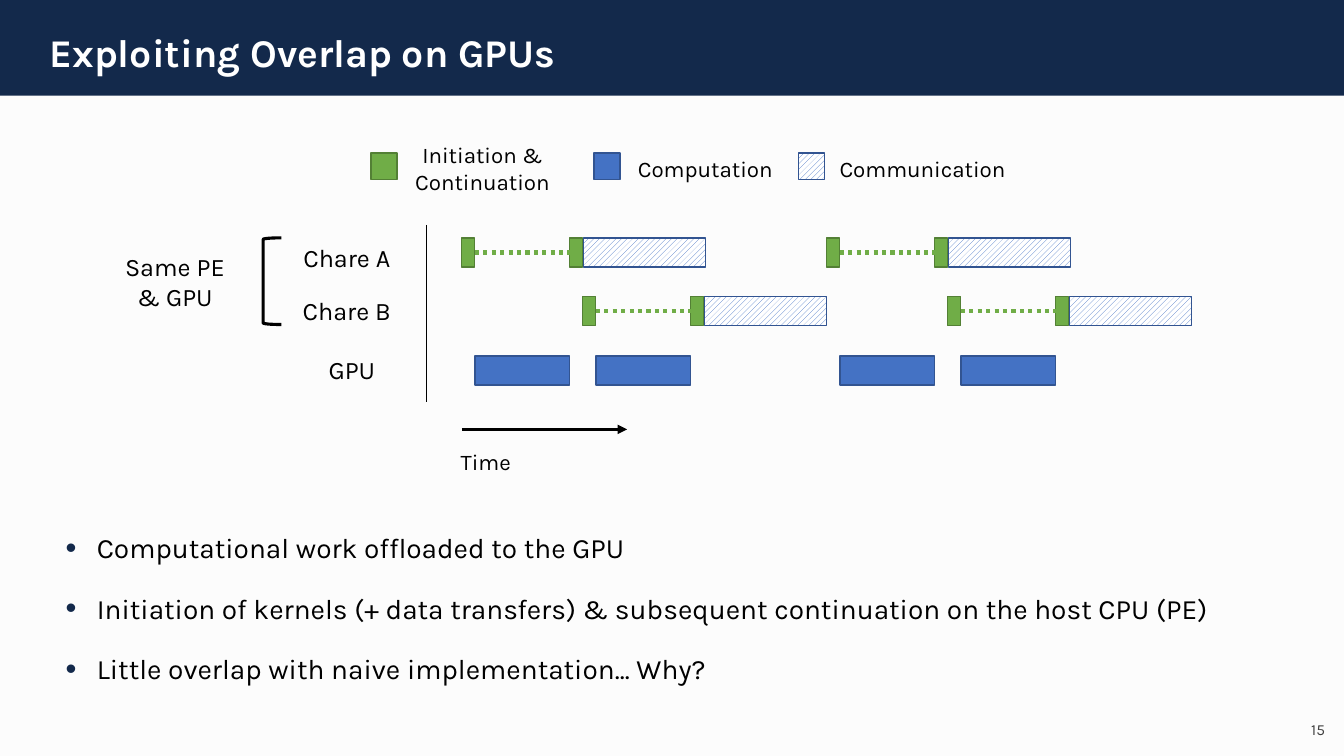
from dataclasses import dataclass

from lxml import etree
from pptx import Presentation
from pptx import util as u
from pptx.dml.color import RGBColor
from pptx.enum import dml, shapes, text
from pptx.oxml.ns import qn

FONT = "Karla"
NAVY, WHITE, BLACK = "13294B", "FFFFFF", "000000"
GREEN, GREEN_EDGE = "70AD47", "538035"
BLUE, BLUE_EDGE = "4472C4", "325491"
CENTER, LEFT, RIGHT = text.PP_ALIGN.CENTER, text.PP_ALIGN.LEFT, text.PP_ALIGN.RIGHT

BAR_HEIGHT = 0.29
MARK_WIDTH = 0.13
CONTINUE_AT = 1.07
COMMUNICATE_AT = 1.21
PERIOD = 3.62
CYCLES = 2
GPU_TOP = 3.53


@dataclass
class Style:
    fill: str
    edge: str
    hatched: bool = False


@dataclass
class Label:
    lines: list[str]
    left: float
    top: float
    width: float
    height: float
    size: int = 18
    color: str = BLACK
    align: text.PP_ALIGN = CENTER


@dataclass
class LegendEntry:
    style: Style
    left: float
    label: Label


@dataclass
class Lane:
    start: float
    top: float


HOST = Style(GREEN, GREEN_EDGE)
COMPUTE = Style(BLUE, BLUE_EDGE)
COMMUNICATE = Style(BLUE, BLUE_EDGE, hatched=True)

LEGEND = [
    LegendEntry(HOST, 3.68, Label(["Initiation & Continuation"], 3.94, 1.35, 1.69, 0.64, 16)),
    LegendEntry(COMPUTE, 5.89, Label(["Computation"], 6.15, 1.49, 1.69, 0.37, 16)),
    LegendEntry(COMMUNICATE, 7.92, Label(["Communication"], 8.18, 1.49, 1.94, 0.37, 16)),
]
LABELS = [
    Label(["Same PE", "& GPU"], 0.98, 2.44, 1.51, 0.71),
    Label(["Chare A"], 2.85, 2.36, 1.18, 0.4),
    Label(["Chare B"], 2.85, 2.88, 1.18, 0.4),
    Label(["GPU"], 2.9, 3.47, 1.18, 0.4),
    Label(["Time"], 4.47, 4.4, 1.01, 0.37, 16, align=LEFT),
    Label(["15"], 12.84, 7.09, 0.4, 0.33, 11, "404040", RIGHT),
]
LANES = [Lane(4.58, 2.36), Lane(5.78, 2.94)]
BULLETS = [
    "Computational work offloaded to the GPU",
    "Initiation of kernels (+ data transfers) & subsequent continuation on the host CPU (PE)",
    "Little overlap with naive implementation... Why?",
]


def rgb(value: str) -> RGBColor:
    return RGBColor.from_string(value)


def place(box, left: float, top: float, width: float, height: float) -> None:
    box.left, box.top = u.Inches(left), u.Inches(top)
    box.width, box.height = u.Inches(width), u.Inches(height)


def add_span(para, wording: str, size: int, color: str, bold: bool = False) -> None:
    span = para.add_run()
    span.text = wording
    span.font.name = FONT
    span.font.size = u.Pt(size)
    span.font.bold = bold
    span.font.color.rgb = rgb(color)


def add_paragraph(frame, index: int):
    return frame.add_paragraph() if index else frame.paragraphs[0]


def add_label(page, label: Label) -> None:
    box = page.shapes.add_textbox(0, 0, 0, 0)
    place(box, label.left, label.top, label.width, label.height)
    frame = box.text_frame
    frame.word_wrap = True
    for index, line in enumerate(label.lines):
        para = add_paragraph(frame, index)
        para.alignment = label.align
        add_span(para, line, label.size, label.color)


def add_box(page, style: Style, left: float, top: float, width: float, height: float) -> None:
    box = page.shapes.add_shape(shapes.MSO_SHAPE.RECTANGLE, 0, 0, 0, 0)
    place(box, left, top, width, height)
    box.shadow.inherit = False
    if style.hatched:
        box.fill.patterned()
        box.fill.pattern = dml.MSO_PATTERN.WIDE_UPWARD_DIAGONAL
        box.fill.fore_color.rgb = rgb(style.fill)
        box.fill.back_color.rgb = rgb(WHITE)
    else:
        box.fill.solid()
        box.fill.fore_color.rgb = rgb(style.fill)
    box.line.color.rgb = rgb(style.edge)
    box.line.width = u.Pt(1)


def add_line(page, start: tuple[float, float], end: tuple[float, float], color: str, weight: float):
    ends = [u.Inches(value) for value in (*start, *end)]
    line = page.shapes.add_connector(shapes.MSO_CONNECTOR.STRAIGHT, *ends)
    line.line.color.rgb = rgb(color)
    line.line.width = u.Pt(weight)
    etree.SubElement(line.element.spPr, qn("a:effectLst"))
    return line


def add_banner(page) -> None:
    banner = page.shapes.add_shape(shapes.MSO_SHAPE.RECTANGLE, 0, 0, u.Inches(13.33), u.Inches(0.95))
    banner.shadow.inherit = False
    banner.fill.solid()
    banner.fill.fore_color.rgb = rgb(NAVY)
    banner.line.fill.background()
    page.shapes.element.insert(2, banner.element)


def fill_title(page) -> None:
    title = page.shapes.title
    place(title, 0.39, 0.23, 11.93, 0.57)
    frame = title.text_frame
    frame.auto_size = text.MSO_AUTO_SIZE.NONE
    frame.vertical_anchor = text.MSO_ANCHOR.MIDDLE
    para = frame.paragraphs[0]
    para.alignment = LEFT
    add_span(para, "Exploiting Overlap on GPUs", 28, WHITE, bold=True)


def add_bullet(para) -> None:
    props = para._p.get_or_add_pPr()
    props.set("marL", str(u.Inches(0.31)))
    props.set("indent", str(-u.Inches(0.31)))
    color = etree.SubElement(props, qn("a:buClr"))
    etree.SubElement(color, qn("a:srgbClr"), val=NAVY)
    etree.SubElement(props, qn("a:buSzPct"), val="111000")
    etree.SubElement(props, qn("a:buFont"), typeface="Arial")
    etree.SubElement(props, qn("a:buChar"), char="•")


def fill_body(page) -> None:
    body = page.placeholders[1]
    place(body, 0.55, 4.95, 12.28, 2.14)
    frame = body.text_frame
    frame.auto_size = text.MSO_AUTO_SIZE.NONE
    for index, wording in enumerate(BULLETS):
        para = add_paragraph(frame, index)
        add_bullet(para)
        para.line_spacing = 1.8
        para.space_before = u.Pt(0)
        add_span(para, wording, 20, BLACK)


def add_task(page, start: float, top: float) -> None:
    work_start, work_end = start + MARK_WIDTH, start + CONTINUE_AT
    middle = top + BAR_HEIGHT / 2
    add_box(page, HOST, start, top, MARK_WIDTH, BAR_HEIGHT)
    add_box(page, COMMUNICATE, start + COMMUNICATE_AT, top, 1.21, BAR_HEIGHT)
    add_box(page, HOST, work_end, top, MARK_WIDTH, BAR_HEIGHT)
    add_box(page, COMPUTE, work_start, GPU_TOP, work_end - work_start, BAR_HEIGHT)
    wait = add_line(page, (work_start, middle), (work_end, middle), GREEN, 3)
    wait.line.dash_style = dml.MSO_LINE.ROUND_DOT


def add_axes(page) -> None:
    add_line(page, (4.23, 2.23), (4.23, 3.99), BLACK, 0.5)
    arrow = add_line(page, (4.58, 4.26), (6.22, 4.26), BLACK, 2.25)
    etree.SubElement(arrow.line._get_or_add_ln(), qn("a:tailEnd"), type="triangle")
    bracket = page.shapes.add_shape(shapes.MSO_SHAPE.LEFT_BRACKET, 0, 0, 0, 0)
    place(bracket, 2.61, 2.36, 0.18, 0.86)
    bracket.shadow.inherit = False
    bracket.fill.background()
    bracket.line.color.rgb = rgb(BLACK)
    bracket.line.width = u.Pt(2.25)


def main() -> None:
    deck = Presentation()
    deck.slide_width, deck.slide_height = u.Inches(13.33), u.Inches(7.5)
    page = deck.slides.add_slide(deck.slide_layouts[1])
    page.background.fill.solid()
    page.background.fill.fore_color.rgb = rgb("FCFCFC")
    add_banner(page)
    fill_title(page)
    fill_body(page)
    for entry in LEGEND:
        add_box(page, entry.style, entry.left, 1.52, 0.26, 0.26)
        add_label(page, entry.label)
    for label in LABELS:
        add_label(page, label)
    add_axes(page)
    for cycle in range(CYCLES):
        for lane in LANES:
            add_task(page, lane.start + cycle * PERIOD, lane.top)
    deck.save("out.pptx")


if __name__ == "__main__":
    main()
